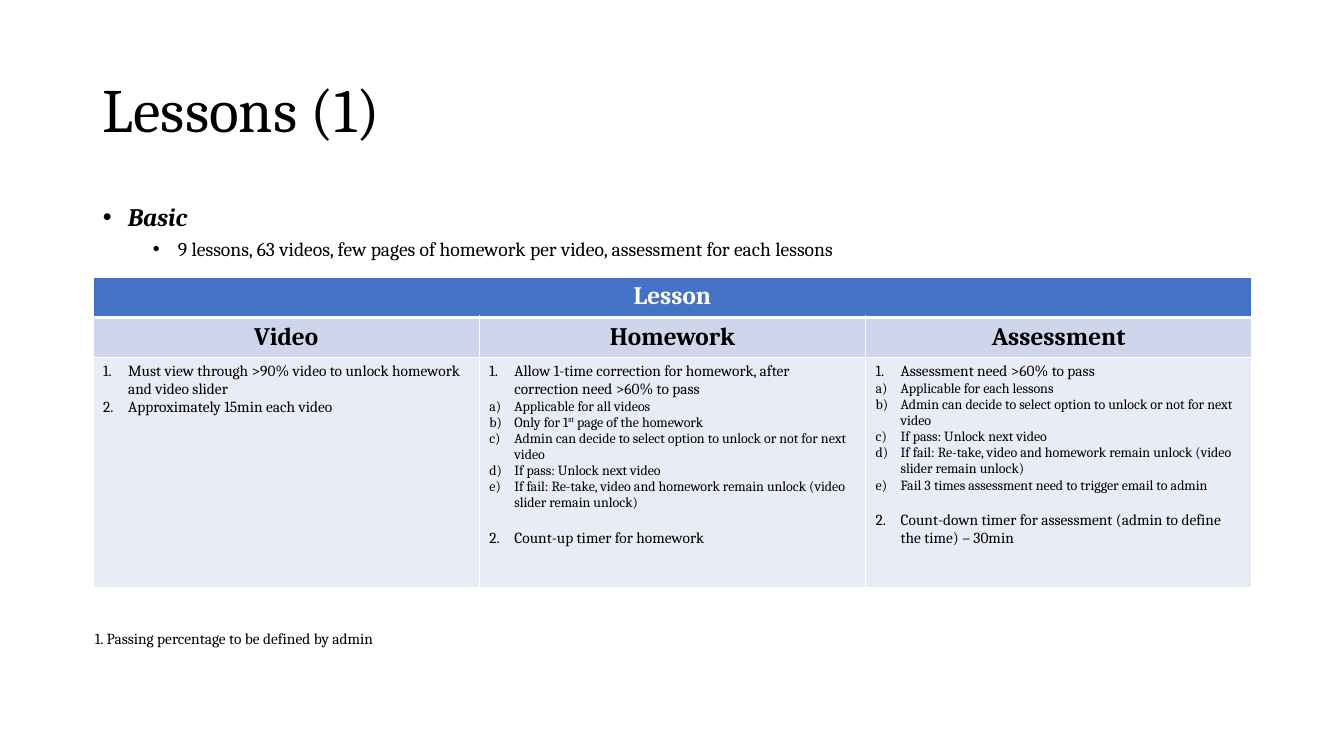
from lxml.etree import SubElement
from pptx import Presentation
from pptx.dml.color import RGBColor
from pptx.enum.text import MSO_ANCHOR as Anchor, MSO_AUTO_SIZE as AutoSize, PP_ALIGN as Align
from pptx.oxml.ns import qn
from pptx.util import Emu, Pt

# Content
TITLE = "Lessons (1)"
LEVEL = "Basic"
SUMMARY = "9 lessons, 63 videos, few pages of homework per video, assessment for each lessons"
TABLE_HEADING = "Lesson"
FOOTNOTE = "1. Passing percentage to be defined by admin"

# Each rule: number it starts from, text parts (every second part is raised), sub-rules
TOPICS = {
    "Video": [
        (1, ["Must view through >90% video to unlock homework and video slider"], []),
        (1, ["Approximately 15min each video"], []),
    ],
    "Homework": [
        (1, ["Allow 1-time correction for homework, after correction need >60% to pass"], [
            ["Applicable for all videos"],
            ["Only for 1", "st", " page of the homework"],
            ["Admin can decide to select option to unlock or not for next video"],
            ["If pass: Unlock next video"],
            ["If fail: Re-take, video and homework remain unlock (video slider remain unlock)"],
        ]),
        (2, ["Count-up timer for homework"], []),
    ],
    "Assessment": [
        (1, ["Assessment need >60% to pass"], [
            ["Applicable for each lessons"],
            ["Admin can decide to select option to unlock or not for next video"],
            ["If pass: Unlock next video"],
            ["If fail: Re-take, video and homework remain unlock (video slider remain unlock)"],
            ["Fail 3 times assessment need to trigger email to admin"],
        ]),
        (2, ["Count-down timer for assessment (admin to define the time) – 30min"], []),
    ],
}

# Layout in px
SLIDE_W, SLIDE_H = 1344, 756
LEFT, WIDTH = 93, 1159
TITLE_BOX = (LEFT, 40, WIDTH, 146)
INTRO_BOX = (LEFT, 200, WIDTH, 89)
TABLE_TOP, ROW_HEIGHTS = 277, (39, 39, 230)
FOOTNOTE_BOX = (85, 624, 319, 29)
HANG = 25
FONT = "Cambria"
BLACK, WHITE = "000000", "FFFFFF"
HEADING_FILL, TOPIC_FILL, RULES_FILL = "4472C4", "CFD5EA", "E9EBF5"


def px(n):
    return Emu(round(n * 12192000 / SLIDE_W))


def color(value):
    return RGBColor.from_string(value)


def style(paragraph, size, ink=BLACK, bold=False, italic=False):
    for run in paragraph.runs:
        font = run.font
        font.name, font.size, font.bold, font.italic = FONT, Pt(size), bold, italic
        font.color.rgb = color(ink)


def mark(paragraph, indent, tag, **attributes):
    """Give a paragraph a hanging bullet or number."""
    props = paragraph._p.get_or_add_pPr()
    props.set("marL", str(px(indent)))
    props.set("indent", str(-px(HANG)))
    if tag == "a:buChar":
        SubElement(props, qn("a:buFont"), typeface="Arial")
    SubElement(props, qn(tag), **attributes)


def add_text(slide, box, lines):
    frame = slide.shapes.add_textbox(*map(px, box)).text_frame
    frame.word_wrap = True
    frame.text = "\n".join(lines)
    return frame


def dress(cell, fill, bottom=1):
    """Draw white borders, then fill the cell."""
    props = cell._tc.get_or_add_tcPr()
    for tag, points in (("a:lnL", 1), ("a:lnR", 1), ("a:lnT", 1), ("a:lnB", bottom)):
        line = SubElement(props, qn(tag), w=str(Pt(points)))
        SubElement(SubElement(line, qn("a:solidFill")), qn("a:srgbClr"), val=WHITE)
    cell.fill.solid()
    cell.fill.fore_color.rgb = color(fill)


def write_heading(cell, text, ink):
    cell.text = text
    heading = cell.text_frame.paragraphs[0]
    heading.alignment = Align.CENTER
    style(heading, 18, ink, bold=True)


def write_rules(cell, rules):
    frame = cell.text_frame
    lines = []
    for start, parts, subrules in rules:
        lines.append((parts, 11, "arabicPeriod", start))
        lines += [(subrule, 10, "alphaLcParenR", 1) for subrule in subrules]
    for i, (parts, size, scheme, start) in enumerate(lines):
        paragraph = frame.add_paragraph() if i else frame.paragraphs[0]
        for j, part in enumerate(parts):
            run = paragraph.add_run()
            run.text = part
            if j % 2:
                run._r.get_or_add_rPr().set("baseline", "30000")
        style(paragraph, size)
        numbering = {"type": scheme}
        if start > 1:
            paragraph.space_before = Pt(13)
            numbering["startAt"] = str(start)
        mark(paragraph, HANG, "a:buAutoNum", **numbering)


def main():
    prs = Presentation()
    prs.slide_width, prs.slide_height = px(SLIDE_W), px(SLIDE_H)
    slide = prs.slides.add_slide(prs.slide_layouts[6])

    # Title
    title = add_text(slide, TITLE_BOX, [TITLE])
    title.vertical_anchor = Anchor.MIDDLE
    title.paragraphs[0].line_spacing = 0.9
    style(title.paragraphs[0], 44)

    # Level and summary
    level, summary = add_text(slide, INTRO_BOX, [LEVEL, SUMMARY]).paragraphs
    for paragraph, gap, indent in ((level, 10, HANG), (summary, 5, 3 * HANG)):
        paragraph.line_spacing = 0.9
        paragraph.space_before = Pt(gap)
        mark(paragraph, indent, "a:buChar", char="•")
    summary.level = 1
    style(level, 18, bold=True, italic=True)
    style(summary, 14)

    # Lesson table
    count = len(TOPICS)
    table = slide.shapes.add_table(len(ROW_HEIGHTS), count, px(LEFT), px(TABLE_TOP),
                                   px(WIDTH), px(sum(ROW_HEIGHTS))).table
    for row, height in zip(table.rows, ROW_HEIGHTS):
        row.height = px(height)
    for column in table.columns:
        column.width = px(WIDTH / count)
    for i, (topic, rules) in enumerate(TOPICS.items()):
        heading_cell, topic_cell, rules_cell = (table.cell(r, i) for r in range(3))
        dress(heading_cell, HEADING_FILL, bottom=3)
        dress(topic_cell, TOPIC_FILL)
        dress(rules_cell, RULES_FILL)
        write_heading(topic_cell, topic, BLACK)
        write_rules(rules_cell, rules)
    table.cell(0, 0).merge(table.cell(0, count - 1))
    write_heading(table.cell(0, 0), TABLE_HEADING, WHITE)

    # Footnote
    footnote = add_text(slide, FOOTNOTE_BOX, [FOOTNOTE])
    footnote.word_wrap = False
    footnote.auto_size = AutoSize.SHAPE_TO_FIT_TEXT
    style(footnote.paragraphs[0], 11)

    prs.save("out.pptx")


if __name__ == "__main__":
    main()
